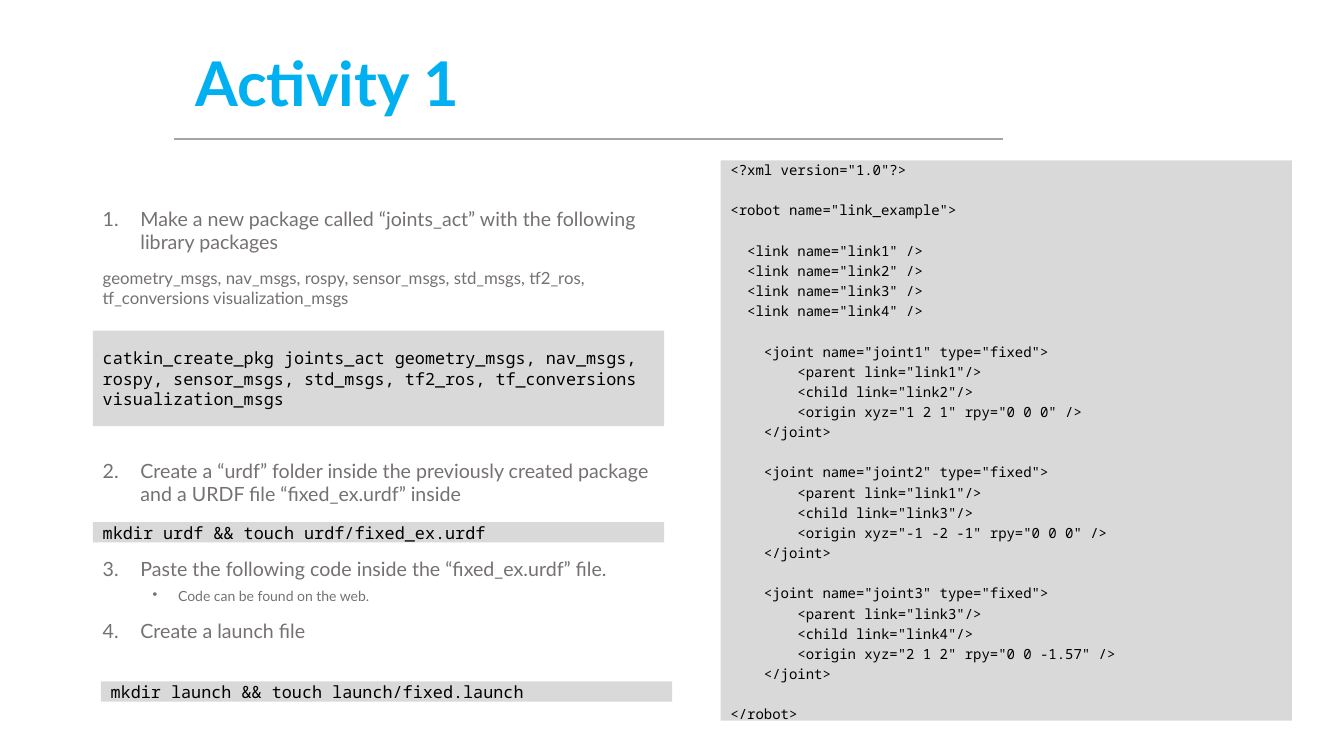
from lxml import etree
from pptx import Presentation
from pptx.dml.color import RGBColor
from pptx.enum.shapes import MSO_CONNECTOR, MSO_SHAPE
from pptx.enum.text import MSO_ANCHOR, PP_ALIGN
from pptx.oxml.ns import qn
from pptx.util import Cm, Pt

COLORS = {"title": "00B0F0", "rule": "A5A5A5", "body": "767171",
          "panel": "D9D9D9", "code": "000000"}
SANS, MONO = "Lato", "Noto Sans Mono"

TITLE = "Activity 1"
TITLE_BOX = (4.67, 0.33, 22.66, 3.68)
RULE = (25.27, 3.51, 4.39, 3.51)
STEPS_BOX = (2.34, 5.08, 14.4, 12.09)

# kind, text, space before in points (wide gaps leave room for the commands)
STEPS = [
    ("first", "Make a new package called “joints_act” with the following library packages", 10),
    ("plain", "geometry_msgs, nav_msgs, rospy, sensor_msgs, std_msgs, tf2_ros, "
              "tf_conversions visualization_msgs", 10),
    ("next", "Create a “urdf” folder inside the previously created package "
             "and a URDF file “fixed_ex.urdf” inside", 107.6),
    ("next", "Paste the following code inside the “fixed_ex.urdf” file.", 36.8),
    ("bullet", "Code can be found on the web.", 5),
    ("next", "Create a launch file", 10),
]
# kind: size, left margin and hanging indent in cm, bullet tag, bullet attributes
NUMBER = {"type": "arabicPeriod"}
STYLES = {
    "first": (14, 0.95, 0.95, "a:buAutoNum", NUMBER),
    "next": (14, 0.95, 0.95, "a:buAutoNum", {**NUMBER, "startAt": "2"}),
    "plain": (12, 0, 0, "a:buNone", {}),
    "bullet": (10, 1.9, 0.64, "a:buChar", {"char": "•"}),
}

COMMANDS = [
    ("catkin_create_pkg joints_act geometry_msgs, nav_msgs, rospy, sensor_msgs, "
     "std_msgs, tf2_ros, tf_conversions visualization_msgs", (2.34, 8.33, 14.4, 2.41)),
    ("mkdir urdf && touch urdf/fixed_ex.urdf", (2.34, 13.16, 14.4, 0.51)),
    ("mkdir launch && touch launch/fixed.launch", (2.54, 17.17, 14.4, 0.51)),
]

URDF_BOX = (18.16, 4.04, 14.4, 14.12)
URDF_LINE = 14.4
URDF = """<?xml version="1.0"?>

<robot name="link_example">

  <link name="link1" />
  <link name="link2" />
  <link name="link3" />
  <link name="link4" />

    <joint name="joint1" type="fixed">
        <parent link="link1"/>
        <child link="link2"/>
        <origin xyz="1 2 1" rpy="0 0 0" />
    </joint>

    <joint name="joint2" type="fixed">
        <parent link="link1"/>
        <child link="link3"/>
        <origin xyz="-1 -2 -1" rpy="0 0 0" />
    </joint>

    <joint name="joint3" type="fixed">
        <parent link="link3"/>
        <child link="link4"/>
        <origin xyz="2 1 2" rpy="0 0 -1.57" />
    </joint>

</robot>"""


def rgb(name):
    return RGBColor.from_string(COLORS[name])


def cm(values):
    return [Cm(v) for v in values]


def add_paragraph(tf, text, size, font, color, before=0):
    """Fill the empty first paragraph, or append one."""
    p = tf.add_paragraph() if tf.text else tf.paragraphs[0]
    p.text = text
    p.alignment = PP_ALIGN.LEFT
    p.space_before = Pt(before)
    p.font.size, p.font.name = Pt(size), font
    p.font.color.rgb = rgb(color)
    return p


def add_text_box(slide, box):
    tf = slide.shapes.add_textbox(*cm(box)).text_frame
    tf.word_wrap = True
    return tf


def add_panel(slide, box):
    sp = slide.shapes.add_shape(MSO_SHAPE.RECTANGLE, *cm(box))
    sp.shadow.inherit = False
    sp.fill.solid()
    sp.fill.fore_color.rgb = rgb("panel")
    sp.line.fill.background()
    tf = sp.text_frame
    tf.word_wrap = True
    tf.vertical_anchor = MSO_ANCHOR.MIDDLE
    return tf


def set_bullet(p, margin, hanging, tag, attributes):
    pPr = p._p.get_or_add_pPr()
    pPr.set("marL", str(Cm(margin)))
    pPr.set("indent", str(-Cm(hanging)))
    bullet = etree.Element(qn(tag), attributes)
    pPr.find(qn("a:defRPr")).addprevious(bullet)


def add_rule(slide):
    line = slide.shapes.add_connector(MSO_CONNECTOR.STRAIGHT, *cm(RULE))
    line.line.color.rgb = rgb("rule")
    line.line.width = Pt(1.5)
    etree.SubElement(line._element.spPr, qn("a:effectLst"))


def add_title(slide):
    tf = add_text_box(slide, TITLE_BOX)
    tf.vertical_anchor = MSO_ANCHOR.MIDDLE
    p = add_paragraph(tf, TITLE, 44, SANS, "title")
    p.font.bold = True
    p.line_spacing = 0.9


def add_steps(slide):
    tf = add_text_box(slide, STEPS_BOX)
    for kind, text, before in STEPS:
        size, *bullet = STYLES[kind]
        p = add_paragraph(tf, text, size, SANS, "body", before)
        p.level = 1 if kind == "bullet" else 0
        set_bullet(p, *bullet)


def add_urdf(slide):
    """Show the listing, with its empty lines as space before the next line."""
    tf = add_panel(slide, URDF_BOX)
    before = 0
    for text in URDF.splitlines():
        if text:
            p = add_paragraph(tf, text, 10, MONO, "code", before)
            p.line_spacing = 1.2
        before = 0 if text else URDF_LINE


def main():
    prs = Presentation()
    prs.slide_width, prs.slide_height = Cm(33.87), Cm(19.05)
    slide = prs.slides.add_slide(prs.slide_layouts[6])
    add_rule(slide)
    add_steps(slide)
    add_title(slide)
    for text, box in COMMANDS:
        add_paragraph(add_panel(slide, box), text, 12, MONO, "code")
    add_urdf(slide)
    prs.save("out.pptx")


if __name__ == "__main__":
    main()
